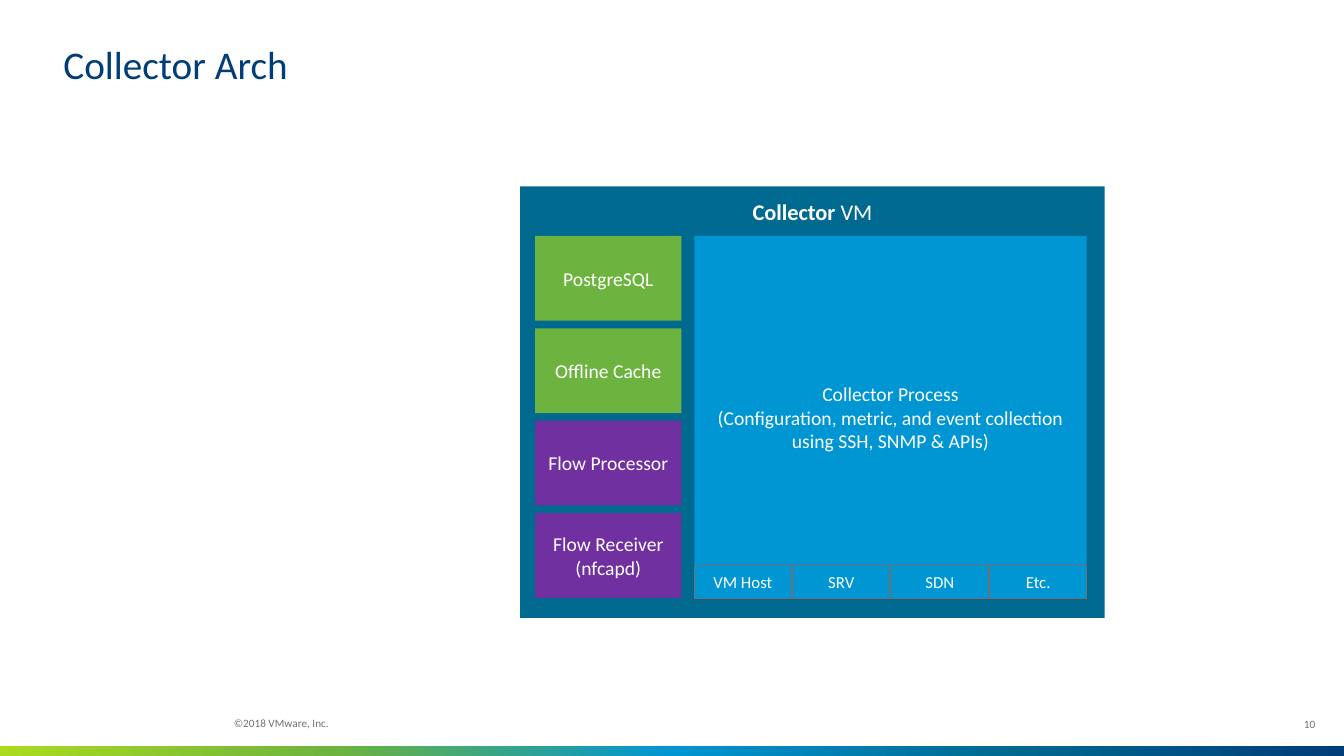
from dataclasses import dataclass

import lxml.etree
import pptx
import pptx.dml.color
import pptx.enum.shapes
import pptx.enum.text
import pptx.oxml.ns
import pptx.shapes.autoshape
import pptx.slide
import pptx.text.text
import pptx.util

SLIDE_WIDTH = pptx.util.Inches(13.333)
SLIDE_HEIGHT = pptx.util.Inches(7.5)
COLUMNS, ROWS = 160, 90
FONT = "Calibri"
COLORS = {
    "lime": "AADB1E",
    "green": "6DB33F",
    "blue": "0095D3",
    "teal": "006990",
    "navy": "003D79",
    "purple": "7030A0",
    "gray": "717074",
    "white": "FFFFFF",
}
ALIGN = pptx.enum.text.PP_ALIGN
ANCHOR = pptx.enum.text.MSO_ANCHOR


@dataclass(frozen=True)
class Area:
    column: float
    row: float
    columns: float
    rows: float

    def emu(self) -> tuple[int, int, int, int]:
        cell_width, cell_height = SLIDE_WIDTH / COLUMNS, SLIDE_HEIGHT / ROWS
        return (
            round(self.column * cell_width),
            round(self.row * cell_height),
            round(self.columns * cell_width),
            round(self.rows * cell_height),
        )

    def split_down(self, count: int, gap: float) -> list["Area"]:
        height = (self.rows - gap * (count - 1)) / count
        return [Area(self.column, self.row + i * (height + gap), self.columns, height)
                for i in range(count)]

    def split_across(self, count: int, gap: float) -> list["Area"]:
        width = (self.columns - gap * (count - 1)) / count
        return [Area(self.column + i * (width + gap), self.row, width, self.rows)
                for i in range(count)]


@dataclass(frozen=True)
class Block:
    label: str
    fill: str
    size: float = 14
    outline: str | None = None


TITLE = Area(7.56, 5.4, 144.36, 5.04)
COLLECTOR_VM = Area(61.92, 22.2, 69.6, 51.36)
SERVICE_STACK = Area(63.72, 28.08, 17.4, 43.1)
PROCESS = Area(82.68, 28.08, 46.68, 43.2)
SOURCE_STRIP = Area(82.68, 67.32, 46.68, 3.9)
FOOTER_BAR = Area(0, 88.8, COLUMNS, 1.2)
COPYRIGHT = Area(27.84, 85.44, 25.8, 1.92)
PAGE_NUMBER = Area(150.84, 83.88, 5.76, 4.8)

SERVICES = [
    Block("PostgreSQL", "green"),
    Block("Offline Cache", "green"),
    Block("Flow Processor", "purple"),
    Block("Flow Receiver (nfcapd)", "purple"),
]
SOURCES = [Block(label, "blue", 12, "gray") for label in ("VM Host", "SRV", "SDN", "Etc.")]
PROCESS_BLOCK = Block(
    "Collector Process\v(Configuration, metric, and event collection using SSH, SNMP & APIs)",
    "blue",
)
BAR_STOPS = ["lime", "green", "blue", "teal", "navy"]


def rgb(name: str) -> pptx.dml.color.RGBColor:
    return pptx.dml.color.RGBColor.from_string(COLORS[name])


def style_runs(paragraph: pptx.text.text._Paragraph, size: float, color: str) -> None:
    for run in paragraph.runs:
        run.font.name = FONT
        run.font.size = pptx.util.Pt(size)
        run.font.color.rgb = rgb(color)


def add_block(slide: pptx.slide.Slide, area: Area, block: Block) -> pptx.shapes.autoshape.Shape:
    shape = slide.shapes.add_shape(pptx.enum.shapes.MSO_SHAPE.RECTANGLE, *area.emu())
    shape.shadow.inherit = False
    shape.fill.solid()
    shape.fill.fore_color.rgb = rgb(block.fill)
    if block.outline:
        shape.line.color.rgb = rgb(block.outline)
        shape.line.width = pptx.util.Pt(0.75)
    else:
        shape.line.fill.background()
    frame = shape.text_frame
    frame.word_wrap = True
    frame.vertical_anchor = ANCHOR.MIDDLE
    frame.text = block.label
    frame.paragraphs[0].alignment = ALIGN.CENTER
    style_runs(frame.paragraphs[0], block.size, "white")
    return shape


def fill_plain_text(shape: pptx.shapes.autoshape.Shape, text: str, size: float, color: str,
                    align: ALIGN, anchor: ANCHOR) -> None:
    frame = shape.text_frame
    frame.word_wrap = True
    frame.auto_size = pptx.enum.text.MSO_AUTO_SIZE.NONE
    frame.margin_left = frame.margin_right = frame.margin_top = frame.margin_bottom = 0
    frame.vertical_anchor = anchor
    frame.text = text
    frame.paragraphs[0].alignment = align
    frame.paragraphs[0].line_spacing = 0.9
    style_runs(frame.paragraphs[0], size, color)


def add_footer(slide: pptx.slide.Slide) -> None:
    bar = add_block(slide, FOOTER_BAR, Block("", "blue"))
    bar.fill.gradient()
    bar.fill.gradient_angle = 0
    qn = pptx.oxml.ns.qn
    stops = bar.fill._xPr.find(qn("a:gradFill")).find(qn("a:gsLst"))
    for stop in list(stops):
        stops.remove(stop)
    for index, name in enumerate(BAR_STOPS):
        position = 100000 * index // (len(BAR_STOPS) - 1)
        stop = lxml.etree.SubElement(stops, qn("a:gs"), pos=str(position))
        lxml.etree.SubElement(stop, qn("a:srgbClr"), val=COLORS[name])
    fill_plain_text(slide.shapes.add_textbox(*PAGE_NUMBER.emu()), "10", 8, "gray",
                    ALIGN.RIGHT, ANCHOR.MIDDLE)
    fill_plain_text(slide.shapes.add_textbox(*COPYRIGHT.emu()), "©2018 VMware, Inc.", 8, "gray",
                    ALIGN.LEFT, ANCHOR.TOP)


def add_title(slide: pptx.slide.Slide) -> None:
    title = slide.shapes.title
    title.left, title.top, title.width, title.height = TITLE.emu()
    fill_plain_text(title, "Collector Arch", 28, "navy", ALIGN.LEFT, ANCHOR.BOTTOM)


def add_collector(slide: pptx.slide.Slide) -> None:
    collector = add_block(slide, COLLECTOR_VM, Block("Collector", "teal", 16))
    collector.text_frame.vertical_anchor = ANCHOR.TOP
    collector.text_frame.margin_top = pptx.util.Inches(0.12)
    heading = collector.text_frame.paragraphs[0]
    heading.runs[0].font.bold = True
    heading.add_run().text = " VM"
    style_runs(heading, 16, "white")
    for area, service in zip(SERVICE_STACK.split_down(len(SERVICES), 0.92), SERVICES):
        add_block(slide, area, service)
    add_block(slide, PROCESS, PROCESS_BLOCK)
    for area, source in zip(SOURCE_STRIP.split_across(len(SOURCES), 0.2), SOURCES):
        add_block(slide, area, source)


def main() -> None:
    deck = pptx.Presentation()
    deck.slide_width, deck.slide_height = SLIDE_WIDTH, SLIDE_HEIGHT
    slide = deck.slides.add_slide(deck.slide_layouts[5])
    add_footer(slide)
    add_title(slide)
    add_collector(slide)
    deck.save("out.pptx")


if __name__ == "__main__":
    main()
